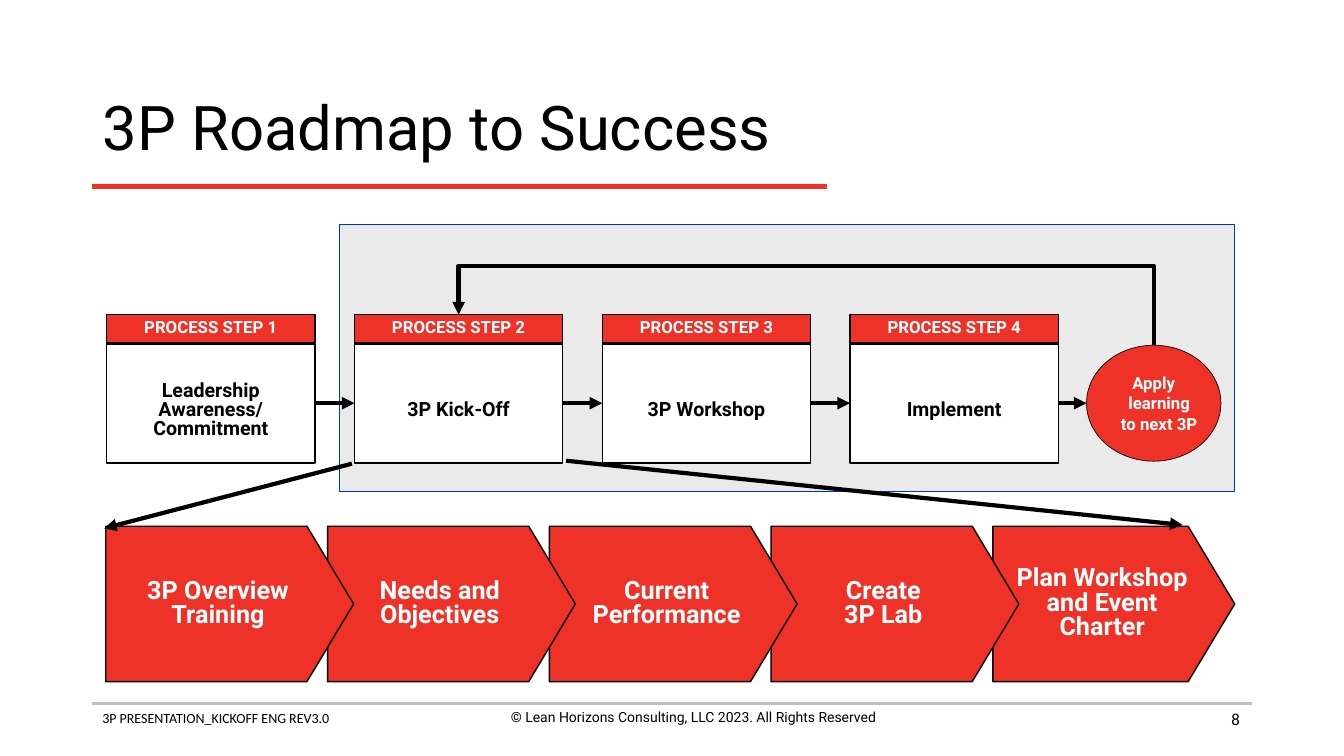
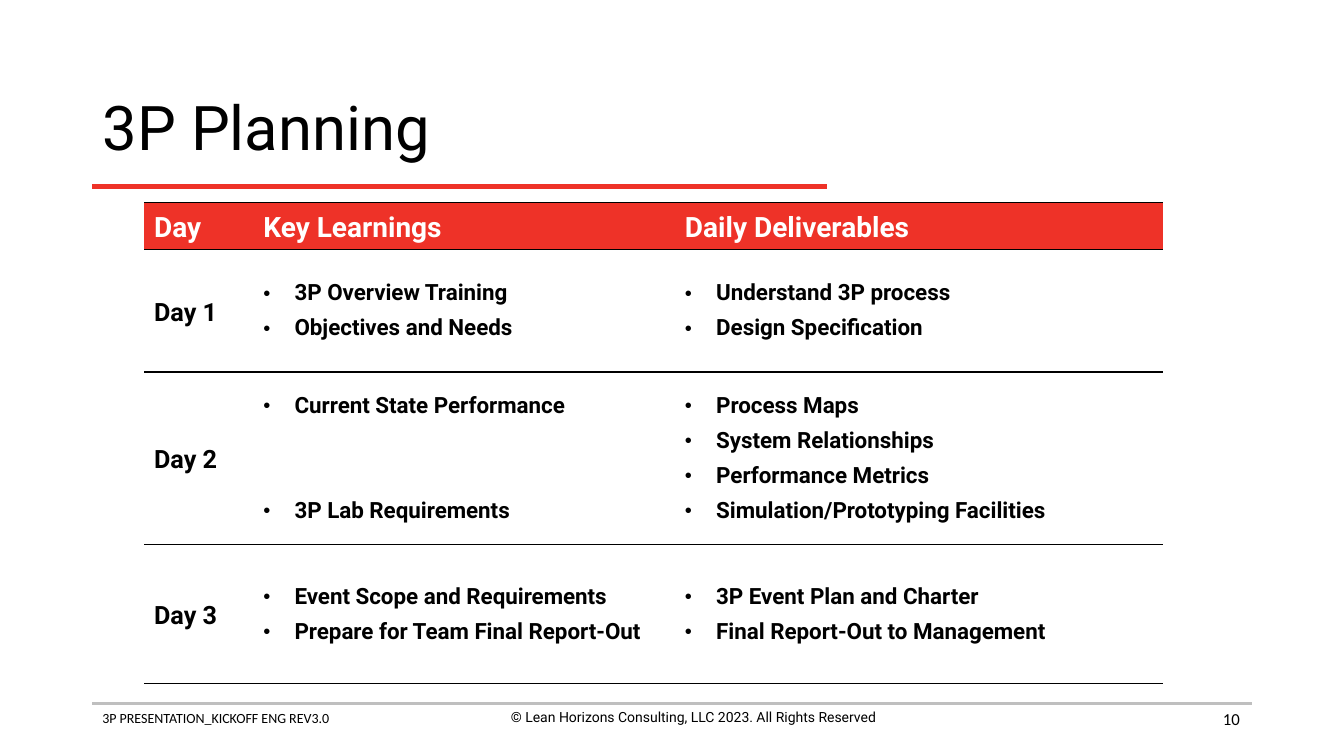
from dataclasses import dataclass
from typing import Optional

from lxml.etree import SubElement
from pptx import Presentation
from pptx.dml.color import RGBColor
from pptx.enum.shapes import MSO_CONNECTOR, MSO_SHAPE
from pptx.enum.text import MSO_ANCHOR, MSO_AUTO_SIZE, PP_ALIGN
from pptx.oxml import parse_xml
from pptx.oxml.ns import nsdecls, qn
from pptx.shapes.autoshape import Shape
from pptx.shapes.connector import Connector
from pptx.slide import Slide, SlideLayout
from pptx.text.text import TextFrame
from pptx.util import Emu, Inches, Pt

RED = RGBColor(0xEE, 0x32, 0x28)
BLACK = RGBColor(0x00, 0x00, 0x00)
WHITE = RGBColor(0xFF, 0xFF, 0xFF)
SILVER = RGBColor(0xBF, 0xBF, 0xBF)
PALE = RGBColor(0xEA, 0xEA, 0xEA)
BLUE = RGBColor(0x00, 0x33, 0xCC)

SANS = "Roboto"
SMALL_PRINT = "Calibri"
NO_STYLE_TABLE = "{2D5ABB26-0587-4C30-8999-92F81FD0307C}"

# The slide is a grid of 160 columns by 90 rows of square cells.
COLUMNS, ROWS = 160, 90
CELL = Inches(7.5) / ROWS


def grid(cells: float) -> Emu:
    return Emu(round(cells * CELL))


@dataclass(frozen=True)
class Area:
    """A rectangle in grid cells."""
    left: float
    top: float
    width: float
    height: float

    @property
    def right(self) -> float:
        return self.left + self.width

    @property
    def bottom(self) -> float:
        return self.top + self.height

    @property
    def center(self) -> float:
        return self.left + self.width / 2

    @property
    def middle(self) -> float:
        return self.top + self.height / 2

    def lengths(self) -> tuple[Emu, Emu, Emu, Emu]:
        return grid(self.left), grid(self.top), grid(self.width), grid(self.height)


@dataclass(frozen=True)
class Phase:
    text: str
    left_inset: float = 0.1


@dataclass(frozen=True)
class DayPlan:
    day: str
    learnings: str
    deliverables: str
    learning_gap: float = 6.4


Point = tuple[float, float]

LEFT, RIGHT = 11, 149
TITLE = Area(LEFT, 8.9, RIGHT - LEFT, 13.2)
NUMBER = Area(112.8, 83.15, 36, 4.8)

LOOP_PANEL = Area(40.4, 26.75, 106.6, 31.8)
APPLY_OVAL = Area(129.35, 41.1, 16, 13.8)
STEP_LEFT, STEP_PITCH, STEP_WIDTH = 12.7, 29.5, 24.8
STEPS = ["Leadership Awareness/ Commitment", "3P Kick-Off", "3P Workshop", "Implement"]
LOOP_TOP = 31.65

PHASE_LEFT, PHASE_PITCH, PHASE_WIDTH = 12.6, 26.4, 29.5
PHASES = [
    Phase("3P Overview Training"),
    Phase("Needs and\vObjectives"),
    Phase("Current Performance", left_inset=0.2),
    Phase("Create\n3P Lab"),
    Phase("Plan Workshop and Event Charter"),
]

TABLE_LEFT, TABLE_TOP = 17.15, 24.1
TABLE_COLUMNS = [13, 50.2, 58.1]
TABLE_ROWS = [5.6, 14.6, 20.5, 16.6]
HEADINGS = ["Day", "Key Learnings", "Daily Deliverables"]
DAY_PLANS = [
    DayPlan("Day 1", "3P Overview Training\nObjectives and Needs",
            "Understand 3P process\nDesign Specification"),
    DayPlan("Day 2", "Current State Performance\n3P Lab Requirements",
            "Process Maps\nSystem Relationships\nPerformance Metrics\n"
            "Simulation/Prototyping Facilities", learning_gap=56.5),
    DayPlan("Day 3", "Event Scope and Requirements\nPrepare for Team Final Report-Out",
            "3P Event Plan and Charter\nFinal Report-Out to Management"),
]


def write(frame: TextFrame, text: str, *, size: float, color: RGBColor = BLACK,
          font: str = SANS, bold: bool = False, align: PP_ALIGN = PP_ALIGN.LEFT,
          spacing: float = 1.0, gap: float = 0, hanging: float = 0,
          bullet: bool = False) -> None:
    """Fill a frame, one paragraph a line, with gap points between paragraphs."""
    for index, line in enumerate(text.split("\n")):
        para = frame.add_paragraph() if index else frame.paragraphs[0]
        para.text = line
        para.alignment = align
        para.line_spacing = spacing
        if index and gap:
            para.space_before = Pt(gap)
        if hanging:
            properties = para._p.get_or_add_pPr()
            properties.set("marL", str(Inches(hanging)))
            properties.set("indent", str(-Inches(hanging)))
            if bullet:
                color_mark = SubElement(properties, qn("a:buClr"))
                SubElement(color_mark, qn("a:srgbClr"), val=str(color))
                SubElement(properties, qn("a:buSzPct"), val="90000")
                SubElement(properties, qn("a:buFont"), typeface="Arial")
                SubElement(properties, qn("a:buChar"), char="•")
        for span in para.runs:
            span.font.name = font
            span.font.size = Pt(size)
            span.font.bold = bold
            span.font.color.rgb = color


def add_block(page: Slide, kind: MSO_SHAPE, area: Area, fill: RGBColor,
              line: RGBColor = BLACK, weight: float = 1) -> Shape:
    block = page.shapes.add_shape(kind, *area.lengths())
    block.shadow.inherit = False
    block.fill.solid()
    block.fill.fore_color.rgb = fill
    block.line.color.rgb = line
    block.line.width = Pt(weight)
    block.text_frame.vertical_anchor = MSO_ANCHOR.MIDDLE
    return block


def add_label(page: Slide, area: Area, text: str, *, size: float, font: str = SANS,
              align: PP_ALIGN = PP_ALIGN.LEFT,
              anchor: MSO_ANCHOR = MSO_ANCHOR.TOP) -> Shape:
    box = page.shapes.add_textbox(*area.lengths())
    box.text_frame.word_wrap = True
    box.text_frame.vertical_anchor = anchor
    write(box.text_frame, text, size=size, font=font, align=align)
    return box


def add_line(page: Slide, start: Point, end: Point, *, color: RGBColor = BLACK,
             weight: float = 3, arrow: bool = False,
             kind: MSO_CONNECTOR = MSO_CONNECTOR.STRAIGHT) -> Connector:
    line = page.shapes.add_connector(kind, *(grid(value) for value in start + end))
    line.line.color.rgb = color
    line.line.width = Pt(weight)
    outline = line.element.find(".//" + qn("a:ln"))
    if arrow:
        SubElement(outline, qn("a:tailEnd"), type="triangle")
    SubElement(outline.getparent(), qn("a:effectLst"))
    return line


def add_return_arrow(page: Slide, start: Point, end: Point, top: float) -> None:
    """Run up from start to top, left, then down to end: an elbow turned by 90°."""
    center = (start[0] + end[0]) / 2
    middle = (start[1] + end[1]) / 2
    rise = start[1] - end[1]
    run = start[0] - end[0]
    elbow = add_line(page, (center + rise / 2, middle - run / 2),
                     (center - rise / 2, middle + run / 2),
                     arrow=True, kind=MSO_CONNECTOR.ELBOW)
    elbow.element.find(".//" + qn("a:xfrm")).set("rot", str(90 * 60000))
    bend = round((start[1] - top) / rise * 100000)
    SubElement(elbow.element.find(".//" + qn("a:avLst")), qn("a:gd"),
               name="adj1", fmla=f"val {bend}")


def furnish_layout(layout: SlideLayout, page: Slide) -> None:
    """Draw the rules and footers on a page, then move them to its layout."""
    title = layout.placeholders[0]
    title.left, title.top, title.width, title.height = TITLE.lengths()
    furniture = [
        add_line(page, (LEFT, 83.75), (RIGHT, 83.75), color=SILVER, weight=2),
        add_label(page, Area(LEFT, 83.9, 54.7, 5.3), "3P PRESENTATION_KICKOFF ENG REV3.0",
                  size=10, font=SMALL_PRINT),
        add_label(page, Area(55.2, 83.75, 54.7, 5.3),
                  "© Lean Horizons Consulting, LLC 2023. All Rights Reserved",
                  size=10, align=PP_ALIGN.CENTER),
        add_line(page, (LEFT, 22.2), (98.4, 22.2), color=RED),
    ]
    for number, item in enumerate(furniture, 100):
        item.element.find(".//" + qn("p:cNvPr")).set("id", str(number))
        layout.shapes.element.append(item.element)


def start_page(page: Slide, title: str, number: int) -> None:
    frame = page.shapes.title.text_frame
    frame.auto_size = MSO_AUTO_SIZE.NONE
    frame.vertical_anchor = MSO_ANCHOR.MIDDLE
    write(frame, title, size=44, spacing=0.9)
    add_label(page, NUMBER, str(number), size=12, font=SMALL_PRINT,
              align=PP_ALIGN.RIGHT, anchor=MSO_ANCHOR.MIDDLE)


def add_step(page: Slide, number: int, text: str) -> Area:
    left = STEP_LEFT + (number - 1) * STEP_PITCH
    body = Area(left, 40.95, STEP_WIDTH, 14.15)
    box = add_block(page, MSO_SHAPE.RECTANGLE, body, WHITE)
    box.text_frame.margin_top = Inches(0.2)
    write(box.text_frame, text, size=14, bold=True, align=PP_ALIGN.CENTER, spacing=0.8)
    band = add_block(page, MSO_SHAPE.RECTANGLE, Area(left, 37.45, STEP_WIDTH, 3.4), RED)
    band.text_frame.word_wrap = False
    write(band.text_frame, f"PROCESS STEP {number}", size=12, color=WHITE, bold=True,
          align=PP_ALIGN.CENTER, spacing=0.8)
    return body


def add_phase(page: Slide, index: int, phase: Phase) -> None:
    left = PHASE_LEFT + index * PHASE_PITCH
    width = min(PHASE_WIDTH, LOOP_PANEL.right - left)
    box = add_block(page, MSO_SHAPE.PENTAGON, Area(left, 62.65, width, 18.5), RED)
    box.adjustments[0] = 0.3
    box.text_frame.margin_left = Inches(phase.left_inset)
    write(box.text_frame, phase.text, size=18, color=WHITE, bold=True,
          align=PP_ALIGN.CENTER, spacing=0.8)


def draw_roadmap(page: Slide) -> None:
    add_block(page, MSO_SHAPE.RECTANGLE, LOOP_PANEL, PALE, BLUE)
    oval = add_block(page, MSO_SHAPE.OVAL, APPLY_OVAL, RED, weight=0.5)
    oval.text_frame.word_wrap = False
    oval.text_frame.margin_left = oval.text_frame.margin_right = Inches(0.05)
    write(oval.text_frame, "Apply\vlearning\vto next 3P", size=12, color=WHITE,
          bold=True, align=PP_ALIGN.CENTER, hanging=0.11)

    steps = [add_step(page, number, text) for number, text in enumerate(STEPS, 1)]
    level = APPLY_OVAL.middle
    for source, target in zip(steps, steps[1:] + [APPLY_OVAL]):
        add_line(page, (source.right, level), (target.left, level), arrow=True)
    add_return_arrow(page, (APPLY_OVAL.center, APPLY_OVAL.top),
                     (steps[1].center, 37.45), LOOP_TOP)

    for index, phase in reversed(list(enumerate(PHASES))):
        add_phase(page, index, phase)
    add_line(page, (41.9, 55.2), (12.4, 62.9), arrow=True)
    add_line(page, (67.4, 54.85), (140.8, 62.5), arrow=True)


def fill_cell(cell, text: str, *, anchor: MSO_ANCHOR = MSO_ANCHOR.MIDDLE,
              fill: Optional[RGBColor] = None, **form) -> None:
    cell.vertical_anchor = anchor
    if fill is None:
        cell.fill.background()
    else:
        cell.fill.solid()
        cell.fill.fore_color.rgb = fill
    write(cell.text_frame, text, bold=True, **form)


def draw_planning(page: Slide) -> None:
    area = Area(TABLE_LEFT, TABLE_TOP, sum(TABLE_COLUMNS), sum(TABLE_ROWS))
    holder = page.shapes.add_table(len(TABLE_ROWS), len(TABLE_COLUMNS), *area.lengths())
    holder.element.find(".//" + qn("a:tableStyleId")).text = NO_STYLE_TABLE
    table = holder.table
    table.horz_banding = False
    for column, width in zip(table.columns, TABLE_COLUMNS):
        column.width = grid(width)
    for row, height in zip(table.rows, TABLE_ROWS):
        row.height = grid(height)

    for index, heading in enumerate(HEADINGS):
        fill_cell(table.cell(0, index), heading, anchor=MSO_ANCHOR.BOTTOM, fill=RED,
                  size=20, color=WHITE)
    for row, plan in enumerate(DAY_PLANS, 1):
        fill_cell(table.cell(row, 0), plan.day, size=18, spacing=1.15)
        lists = [(plan.learnings, plan.learning_gap), (plan.deliverables, 6.4)]
        for column, (text, gap) in enumerate(lists, 1):
            fill_cell(table.cell(row, column), text, size=16, gap=gap,
                      hanging=0.31, bullet=True)

    for properties in holder.element.iter(qn("a:tcPr")):
        for side in ("lnB", "lnT"):
            properties.insert(0, parse_xml(
                f'<a:{side} {nsdecls("a")} w="{Pt(1)}"><a:solidFill>'
                f'<a:srgbClr val="{BLACK}"/></a:solidFill></a:{side}>'))


def main() -> None:
    deck = Presentation()
    deck.slide_width, deck.slide_height = grid(COLUMNS), grid(ROWS)
    layout = deck.slide_layouts.get_by_name("Title Only")
    roadmap, planning = (deck.slides.add_slide(layout) for _ in range(2))
    furnish_layout(layout, roadmap)
    start_page(roadmap, "3P Roadmap to Success", 8)
    draw_roadmap(roadmap)
    start_page(planning, "3P Planning", 10)
    draw_planning(planning)
    deck.save("out.pptx")


if __name__ == "__main__":
    main()
